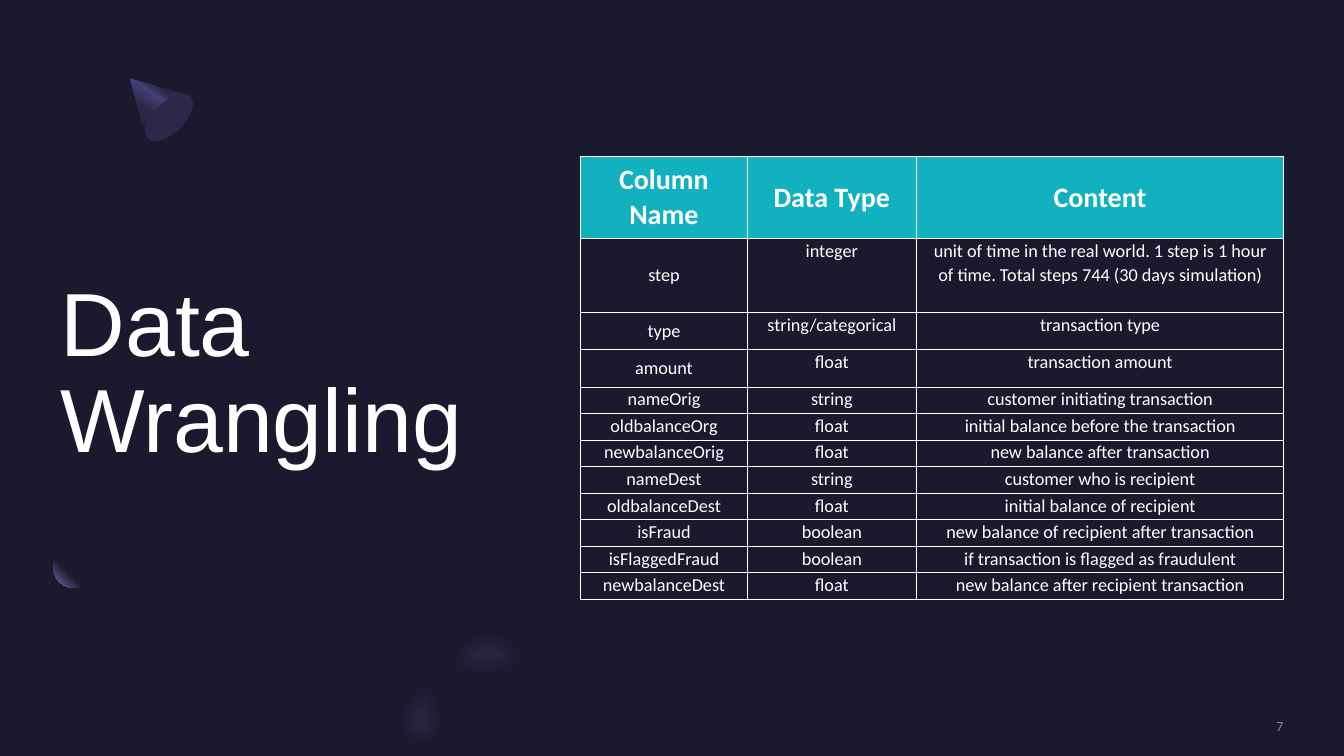
from dataclasses import dataclass

import pptx
import pptx.dml.color
import pptx.enum.shapes
import pptx.enum.text
import pptx.oxml
import pptx.oxml.ns
import pptx.util
from pptx.util import Inches


@dataclass(frozen=True)
class Theme:
    night: str = "1B192E"
    plum: str = "2C284A"
    violet: str = "454075"
    lilac: str = "7771B2"
    teal: str = "12B1BF"
    white: str = "FFFFFF"
    grey: str = "A6A6A6"
    heading_font: str = "Arial"
    body_font: str = "Calibri"
    title_size: int = 64
    header_size: int = 20
    cell_size: int = 13
    number_size: int = 10


theme = Theme()
rgb = pptx.dml.color.RGBColor.from_string
qn = pptx.oxml.ns.qn
namespace = pptx.oxml.ns.nsdecls("a")
ALIGN = pptx.enum.text.PP_ALIGN
ANCHOR = pptx.enum.text.MSO_ANCHOR
SHAPE = pptx.enum.shapes.MSO_SHAPE

deck = pptx.Presentation()
deck.slide_width, deck.slide_height = Inches(13.33), Inches(7.5)
slide = deck.slides.add_slide(deck.slide_layouts[5])
slide.background.fill.solid()
slide.background.fill.fore_color.rgb = rgb(theme.night)


def add_run(paragraph, text, size, color=theme.white, font=theme.body_font, bold=False):
    run = paragraph.add_run()
    run.text = text
    run.font.size = pptx.util.Pt(size)
    run.font.name = font
    run.font.bold = bold
    run.font.color.rgb = rgb(color)
    return run


def add_outline(start, *segments):
    """Draw a closed outline in inches; a segment of six numbers is a Bezier curve."""
    points = [start]
    for segment in segments:
        if len(segment) == 2:
            points.append(segment)
            continue
        x0, y0 = points[-1]
        x1, y1, x2, y2, x3, y3 = segment
        for step in range(1, 5):
            t = step / 4
            a, b, c, d = (1 - t) ** 3, 3 * t * (1 - t) ** 2, 3 * t * t * (1 - t), t ** 3
            points.append((a * x0 + b * x1 + c * x2 + d * x3,
                           a * y0 + b * y1 + c * y2 + d * y3))
    corners = [(Inches(x), Inches(y)) for x, y in points]
    builder = slide.shapes.build_freeform(*corners[0])
    builder.add_line_segments(corners[1:], close=True)
    return builder.convert_to_shape()


# Backdrop, behind the title
backdrop = slide.shapes.add_shape(SHAPE.RECTANGLE, 0, 0, deck.slide_width, deck.slide_height)
title = slide.shapes.title
title.element.addprevious(backdrop.element)

# Title
title.left, title.top, title.width, title.height = map(Inches, (0.6, 1.66, 4.96, 4.13))
title_frame = title.text_frame
title_frame.auto_size = pptx.enum.text.MSO_AUTO_SIZE.NONE
title_line = title_frame.paragraphs[0]
title_line.alignment = ALIGN.LEFT
title_line.line_spacing = 0.9
add_run(title_line, "Data Wrangling", theme.title_size, font=theme.heading_font)

# Decorative solids
cone_side = add_outline(
    (1.29, 0.78), (1.85, 0.94), (1.88, 0.96),
    (1.94, 1.02, 1.89, 1.16, 1.78, 1.27), (1.66, 1.39, 1.52, 1.43, 1.47, 1.38),
    (1.45, 1.35))
cone_base = slide.shapes.add_shape(SHAPE.OVAL, *map(Inches, (1.53, 0.87, 0.3, 0.59)))
cone_base.rotation = 45
ball = slide.shapes.add_shape(SHAPE.OVAL, *map(Inches, (0.53, 5.44, 0.39, 0.39)))
ring = add_outline(
    (4.85, 6.16), (5.11, 6.16, 5.37, 6.26, 5.57, 6.46), (5.21, 6.81),
    (5.01, 6.62, 4.69, 6.62, 4.49, 6.81), (4.32, 6.99, 4.3, 7.25, 4.43, 7.45),
    (4.47, 7.5), (3.89, 7.5), (3.88, 7.46), (3.78, 7.12, 3.86, 6.73, 4.13, 6.46),
    (4.33, 6.26, 4.59, 6.16, 4.85, 6.16))
ring_glow = add_outline(
    (4.8, 6.21), (5.11, 6.19, 5.43, 6.32, 5.68, 6.57), (5.33, 6.93),
    (5.1, 6.7, 4.76, 6.68, 4.56, 6.88), (4.42, 7.03, 4.39, 7.26, 4.48, 7.46),
    (4.5, 7.5), (3.94, 7.5), (3.92, 7.43), (3.84, 7.08, 3.91, 6.72, 4.16, 6.48),
    (4.33, 6.3, 4.56, 6.21, 4.8, 6.21))
ring_end = slide.shapes.add_shape(SHAPE.OVAL, *map(Inches, (5.33, 6.38, 0.12, 0.51)))
ring_end.rotation = 45

solids = [(backdrop, theme.night), (cone_side, theme.plum), (cone_base, theme.plum),
          (ball, theme.night), (ring, theme.night), (ring_glow, theme.lilac),
          (ring_end, theme.night)]
for solid, color in solids:
    solid.fill.solid()
    solid.fill.fore_color.rgb = rgb(color)
    solid.line.fill.background()
    solid.shadow.inherit = False

gradients = [
    (cone_side, [(30, theme.plum), (40, theme.violet), (60, theme.plum), (100, theme.night)],
     '<a:lin ang="7500000" scaled="0"/>'),
    (ball, [(60, theme.night), (100, theme.lilac)],
     '<a:path path="circle"><a:fillToRect l="100000" b="100000"/></a:path>'),
]
for solid, stops, direction in gradients:
    solid.fill.gradient()
    stop_xml = "".join(f'<a:gs pos="{pos * 1000}"><a:srgbClr val="{color}"/></a:gs>'
                       for pos, color in stops)
    properties = solid.element.spPr
    properties.replace(properties.find(qn("a:gradFill")), pptx.oxml.parse_xml(
        f'<a:gradFill {namespace}><a:gsLst>{stop_xml}</a:gsLst>{direction}</a:gradFill>'))

ring_glow.element.spPr.find(qn("a:effectLst")).append(
    pptx.oxml.parse_xml(f'<a:softEdge {namespace} rad="190500"/>'))

# Slide number
number_box = slide.shapes.add_textbox(*map(Inches, (10.88, 7.12, 1.85, 0.17)))
number_frame = number_box.text_frame
number_line = number_frame.paragraphs[0]
number_line.alignment = ALIGN.RIGHT
number_line.space_after = pptx.util.Pt(6)
number = add_run(number_line, "7", theme.number_size, theme.grey)

for frame in (title_frame, number_frame):
    frame.margin_left = frame.margin_right = frame.margin_top = frame.margin_bottom = 0
    frame.vertical_anchor = ANCHOR.MIDDLE
    frame.word_wrap = True

# Transparency of the ring glow and the slide number
number_properties = number_line.runs[0].font.fill._xPr
for properties, opacity in ((ring_glow.element.spPr, 40), (number_properties, 80)):
    properties.find(qn("a:solidFill"))[0].append(
        pptx.oxml.parse_xml(f'<a:alpha {namespace} val="{opacity * 1000}"/>'))

# Table of dataset columns
rows = [
    ("Column Name", "Data Type", "Content"),
    ("step", "integer", "unit of time in the real world. 1 step is 1 hour of time. "
                        "Total steps 744 (30 days simulation)"),
    ("type", "string/categorical", "transaction type"),
    ("amount", "float", "transaction amount"),
    ("nameOrig", "string", "customer initiating transaction"),
    ("oldbalanceOrg", "float", "initial balance before the transaction"),
    ("newbalanceOrig", "float", "new balance after transaction"),
    ("nameDest", "string", "customer who is recipient"),
    ("oldbalanceDest", "float", "initial balance of recipient"),
    ("isFraud", "boolean", "new balance of recipient after transaction"),
    ("isFlaggedFraud", "boolean", "if transaction is flagged as fraudulent"),
    ("newbalanceDest", "float", "new balance after recipient transaction"),
]
table_height = 4.4
row_heights = [0.82, 0.73, 0.37, 0.37]
row_heights += [(table_height - sum(row_heights)) / 8] * 8
columns = slide.shapes.add_table(
    len(rows), 3, *map(Inches, (5.76, 1.55, 6.97, table_height))).table
columns.first_row = columns.horz_banding = False
for column, width in zip(columns.columns, (1.65, 1.68, 3.64)):
    column.width = Inches(width)

for r, (texts, height) in enumerate(zip(rows, row_heights)):
    columns.rows[r].height = Inches(height)
    for c, text in enumerate(texts):
        header = r == 0
        roomy = header or (c == 0 and r < 4)
        cell = columns.cell(r, c)
        cell.margin_left = cell.margin_right = Inches(0.11 if roomy else 0.08)
        cell.margin_top = cell.margin_bottom = Inches(0.06 if roomy else 0)
        cell.vertical_anchor = ANCHOR.MIDDLE if roomy else ANCHOR.TOP
        for side in "LRTB":
            cell._tc.get_or_add_tcPr().append(pptx.oxml.parse_xml(
                f'<a:ln{side} {namespace} w="9525"><a:solidFill>'
                f'<a:srgbClr val="{theme.white}"/></a:solidFill></a:ln{side}>'))
        if header:
            cell.fill.solid()
            cell.fill.fore_color.rgb = rgb(theme.teal)
        else:
            cell.fill.background()
        line = cell.text_frame.paragraphs[0]
        line.alignment = ALIGN.CENTER
        line.line_spacing = 1.0 if roomy else 1.07
        add_run(line, text, theme.header_size if header else theme.cell_size, bold=header)

deck.save("out.pptx")
